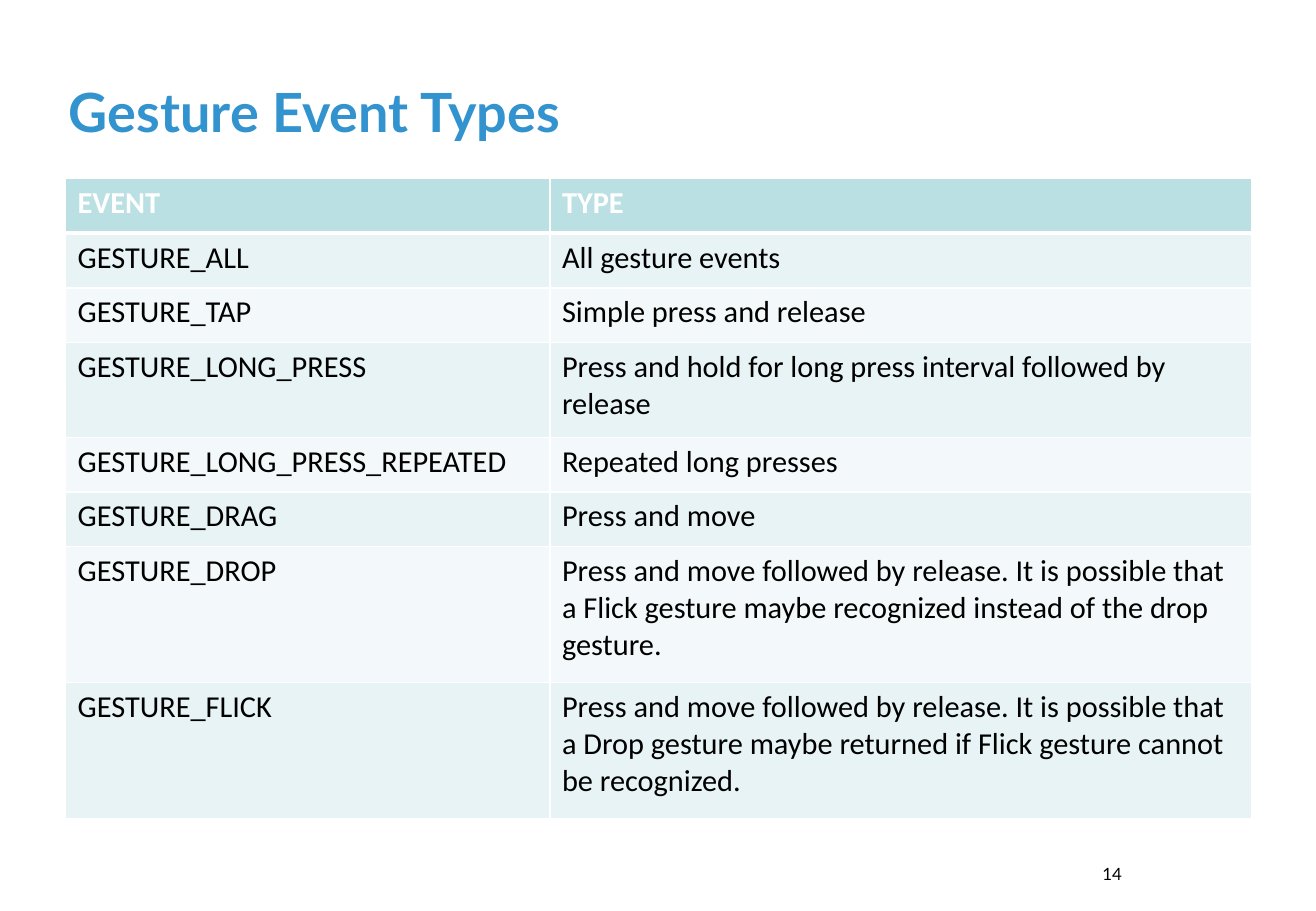
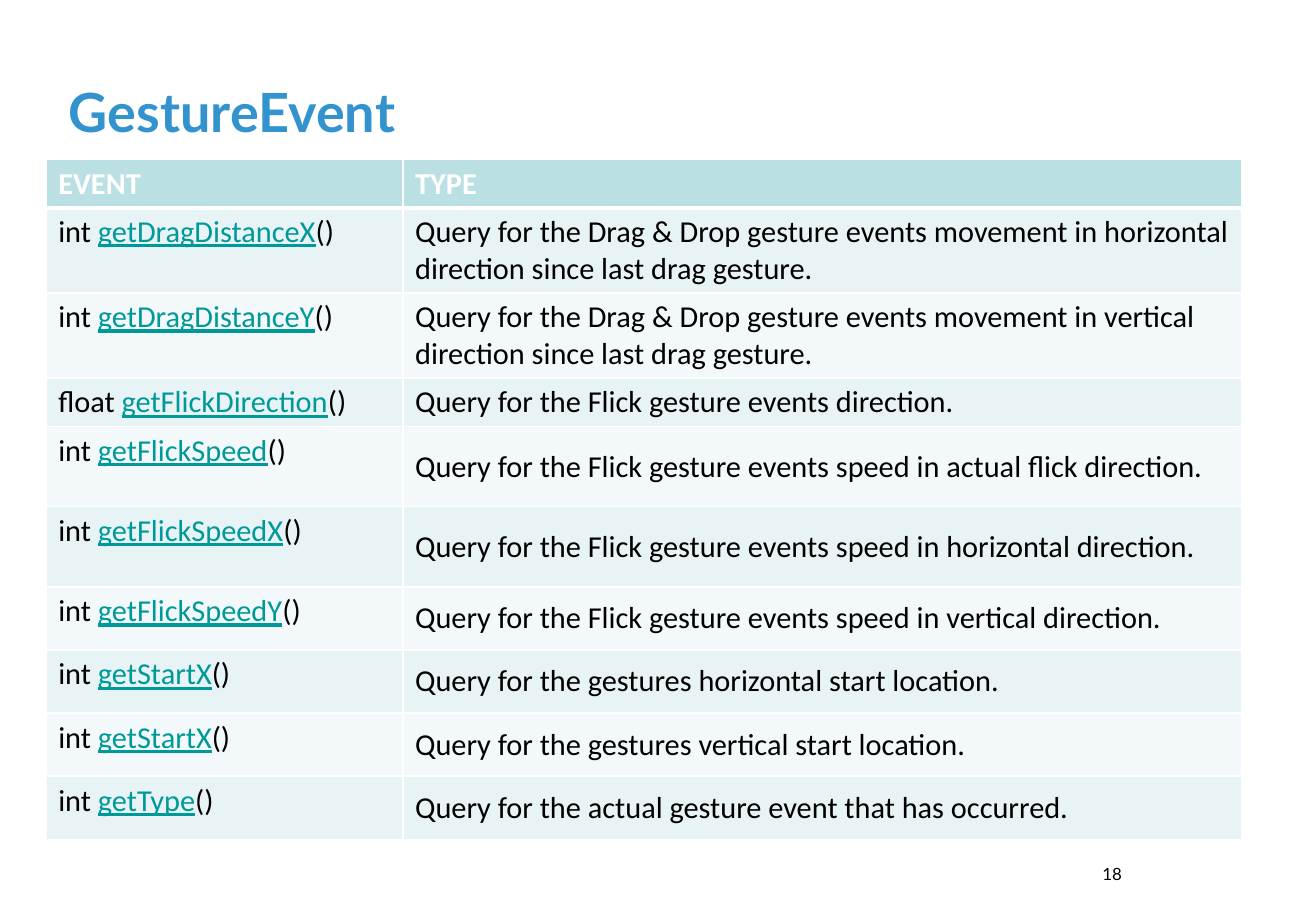
"""Build two slides of gesture event reference tables."""
from lxml import etree
from pptx import Presentation
from pptx.dml.color import RGBColor
from pptx.enum.text import MSO_ANCHOR, PP_ALIGN
from pptx.oxml.ns import qn
from pptx.util import Inches, Pt

TOP, MIDDLE, BOTTOM = MSO_ANCHOR.TOP, MSO_ANCHOR.MIDDLE, MSO_ANCHOR.BOTTOM
LEFT, RIGHT = PP_ALIGN.LEFT, PP_ALIGN.RIGHT

COLORS = {
    "title": "3293CE",
    "text": "000000",
    "white": "FFFFFF",
    "link": "009999",
    "header": "BBE0E3",
    "odd": "E7F3F4",
    "even": "F3F9FA",
}
HEADER = ("EVENT", "TYPE")

SLIDES = [
    {
        "title": "Gesture Event Types",
        "number": "14",
        "place": (0.54, 1.47),
        "columns": (3.99, 5.78),
        "heights": (0.45, 0.45, 0.45, 0.78, 0.45, 0.45, 1.12, 1.12),
        "anchor": TOP,
        "rows": [
            ("GESTURE_ALL", "All gesture events"),
            ("GESTURE_TAP", "Simple press and release"),
            ("GESTURE_LONG_PRESS", "Press and hold for long press interval followed by release"),
            ("GESTURE_LONG_PRESS_REPEATED", "Repeated long presses"),
            ("GESTURE_DRAG", "Press and move"),
            ("GESTURE_DROP", "Press and move followed by release. It is possible that "
             "a Flick gesture maybe recognized instead of the drop gesture."),
            ("GESTURE_FLICK", "Press and move followed by release. It is possible that "
             "a Drop gesture maybe returned if Flick gesture cannot be recognized."),
        ],
    },
    {
        "title": "GestureEvent",
        "number": "18",
        "place": (0.38, 1.31),
        "columns": (2.94, 6.91),
        "heights": (0.37, 0.66, 0.66, 0.37, 0.66, 0.66, 0.52, 0.52, 0.52, 0.52),
        "anchor": MIDDLE,
        "rows": [
            ("int getDragDistanceX()", "Query for the Drag & Drop gesture events movement "
             "in horizontal direction since last drag gesture."),
            ("int getDragDistanceY()", "Query for the Drag & Drop gesture events movement "
             "in vertical direction since last drag gesture."),
            ("float getFlickDirection()", "Query for the Flick gesture events direction."),
            ("int getFlickSpeed()", "Query for the Flick gesture events speed in actual flick direction."),
            ("int getFlickSpeedX()", "Query for the Flick gesture events speed in horizontal direction."),
            ("int getFlickSpeedY()", "Query for the Flick gesture events speed in vertical direction."),
            ("int getStartX()", "Query for the gestures horizontal start location."),
            ("int getStartX()", "Query for the gestures vertical start location."),
            ("int getType()", "Query for the actual gesture event that has occurred."),
        ],
    },
]


def add_label(page, text, place, size, color, bold=False, align=LEFT, wrap=True):
    """Add a one-line text box resting on its bottom edge."""
    box = page.shapes.add_textbox(*map(Inches, place))
    box.text_frame.word_wrap = wrap
    box.text_frame.vertical_anchor = BOTTOM
    para = box.text_frame.paragraphs[0]
    para.text = text
    para.alignment = align
    para.font.name = "Lato"
    para.font.size = Pt(size)
    para.font.bold = bold
    para.font.color.rgb = RGBColor.from_string(COLORS[color])


def style_cell(cell, fill, widths):
    """Give a cell white borders of the given widths and a solid fill."""
    properties = cell._tc.get_or_add_tcPr()
    for side, width in widths.items():
        line = etree.SubElement(properties, qn(f"a:ln{side}"), w=str(Pt(width)))
        paint = etree.SubElement(line, qn("a:solidFill"))
        etree.SubElement(paint, qn("a:srgbClr"), val=COLORS["white"])
    cell.fill.solid()
    cell.fill.fore_color.rgb = RGBColor.from_string(COLORS[fill])


deck = Presentation()
deck.slide_width, deck.slide_height = Inches(10.84), Inches(7.5)

for content in SLIDES:
    page = deck.slides.add_slide(deck.slide_layouts[6])
    add_label(page, content["title"], (0.47, 0.3, 9.9, 0.93), 32, "title", bold=True)
    add_label(page, content["number"], (8.96, 7.06, 0.38, 0.27), 10, "text", align=RIGHT, wrap=False)

    rows = [HEADER] + content["rows"]
    size = (sum(content["columns"]), sum(content["heights"]))
    frame = page.shapes.add_table(len(rows), len(HEADER), *map(Inches, content["place"] + size))
    table = frame.table
    for column, width in zip(table.columns, content["columns"]):
        column.width = Inches(width)

    for row_index, (row, height) in enumerate(zip(rows, content["heights"])):
        table.rows[row_index].height = Inches(height)
        is_header = row_index == 0
        fill = "header" if is_header else "odd" if row_index % 2 else "even"
        widths = {"L": 1, "R": 1, "T": 3 if row_index == 1 else 1, "B": 3 if is_header else 1}
        for column_index, text in enumerate(row):
            cell = table.cell(row_index, column_index)
            style_cell(cell, fill, widths)
            cell.vertical_anchor = content["anchor"] if column_index and not is_header else TOP
            para = cell.text_frame.paragraphs[0]
            para.font.name = "Calibri"
            para.font.size = Pt(18)
            para.font.bold = is_header
            color = "white" if is_header else "text"
            para.font.color.rgb = RGBColor.from_string(COLORS[color])
            if text.endswith("()"):
                kind, method = text[:-2].split()
                for part in (f"{kind} ", method, "()"):
                    span = para.add_run()
                    span.text = part
                    if part == method:
                        span.font.underline = True
                        span.font.color.rgb = RGBColor.from_string(COLORS["link"])
            else:
                para.add_run().text = text

deck.save("out.pptx")
